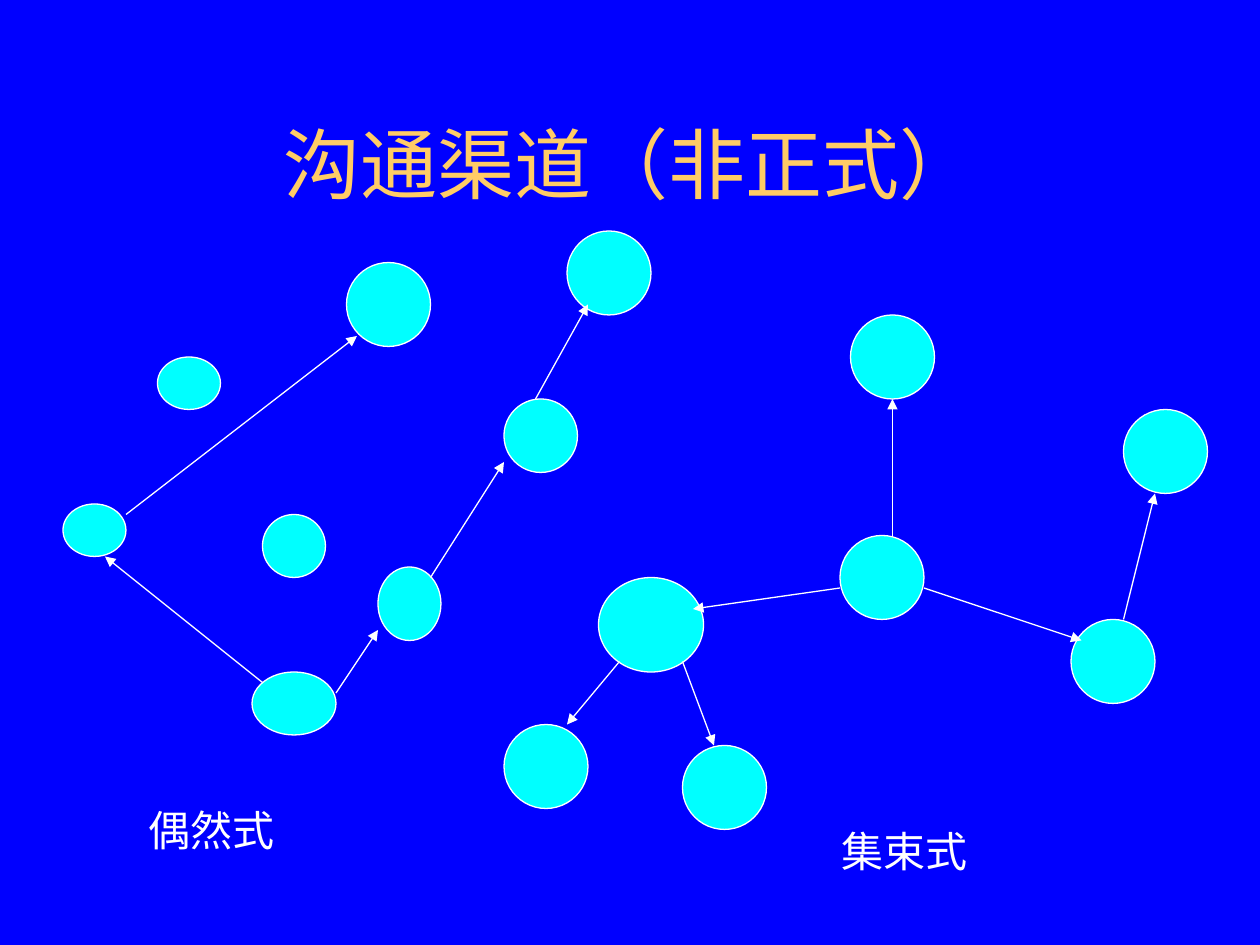
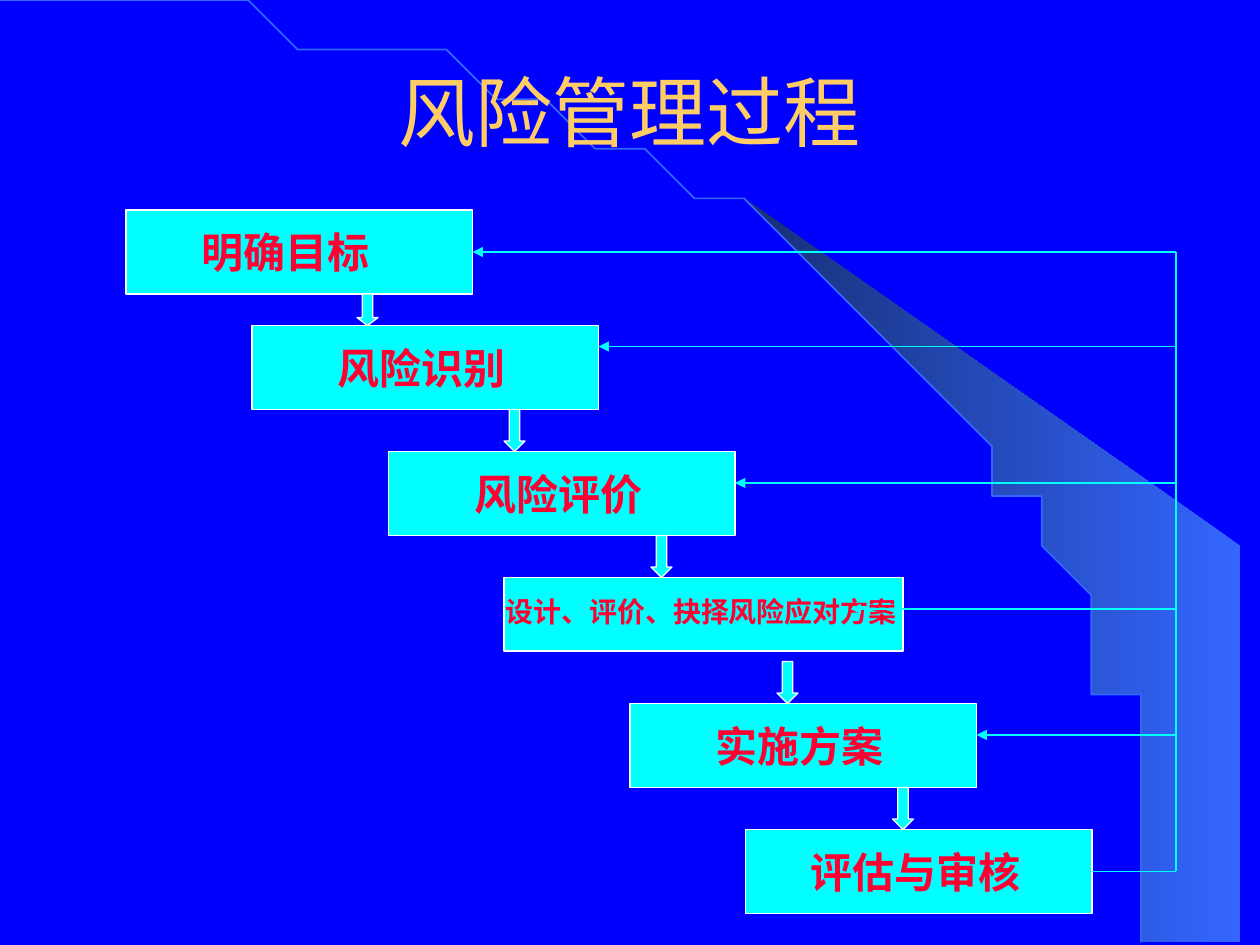
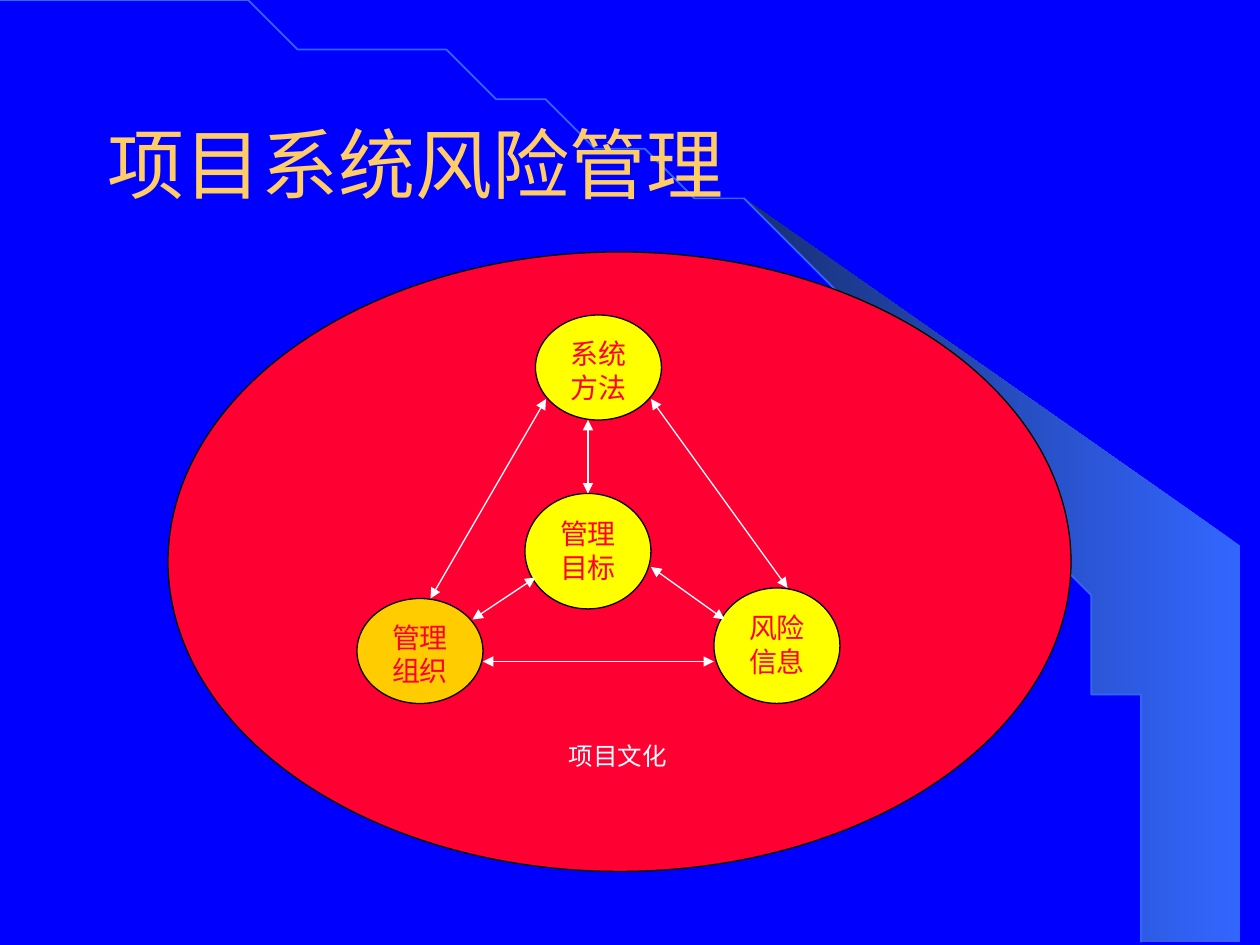
"""Build three slides on informal communication channels and project risk management."""
from math import cos, radians, sin

from lxml import etree
from pptx import Presentation
from pptx.dml.color import RGBColor
from pptx.enum.shapes import MSO_CONNECTOR, MSO_SHAPE
from pptx.enum.text import MSO_ANCHOR, PP_ALIGN
from pptx.oxml.ns import qn
from pptx.util import Cm, Pt

OVAL, RECTANGLE = MSO_SHAPE.OVAL, MSO_SHAPE.RECTANGLE
DOWN_ARROW, DISC = MSO_SHAPE.DOWN_ARROW, MSO_SHAPE.FLOWCHART_CONNECTOR
STRAIGHT = MSO_CONNECTOR.STRAIGHT
LEFT, CENTER = PP_ALIGN.LEFT, PP_ALIGN.CENTER
TOP, MIDDLE = MSO_ANCHOR.TOP, MSO_ANCHOR.MIDDLE

GRID = Cm(2.54) // 12
BLUE, SKY, NAVY, CYAN = "0000FF", "3366FF", "172F75", "00FFFF"
GOLD, YELLOW, AMBER, RED = "FFCC66", "FFFF00", "FFCC00", "FF0033"
WHITE, BLACK = "FFFFFF", "000000"
TITLE_FONT, BODY_FONT = "Arial", "Times New Roman"
colour = RGBColor.from_string


def add_figure(page, kind, place, fill, outline=WHITE):
    """Add a filled preset shape, placed in grid units."""
    figure = page.shapes.add_shape(kind, *(GRID * n for n in place))
    figure.shadow.inherit = False
    figure.fill.solid()
    figure.fill.fore_color.rgb = colour(fill)
    figure.line.color.rgb = colour(outline)
    figure.line.width = Pt(0.75)
    return figure


def add_link(page, ends, tint=WHITE, arrows=("tailEnd",)):
    """Add a straight connector between two grid points."""
    link = page.shapes.add_connector(STRAIGHT, *(GRID * n for n in ends))
    link.line.color.rgb = colour(tint)
    link.line.width = Pt(0.75)
    properties = link.element.spPr
    for arrow in arrows:
        etree.SubElement(properties.find(qn("a:ln")), qn("a:" + arrow), type="triangle")
    etree.SubElement(properties, qn("a:effectLst"))
    return link


deck = Presentation()
deck.slide_width, deck.slide_height = Cm(25.4), Cm(19.05)
background = deck.slide_master.background.fill
background.solid()
background.fore_color.rgb = colour(BLUE)

arc = [(23.37 * sin(radians(a)), 19.02 * (1 - cos(radians(a)))) for a in range(0, 91, 2)]
wedge = arc[20:] + [(25.37, 19.02), (25.37, 10.74)]

texts = []
pages = []
for heading, place, alignment, has_band in [
    ("沟通渠道（非正式）", (9, 8, 102, 15), CENTER, False),
    ("风险管理过程", (9, 4, 102, 13), CENTER, True),
    ("项目系统风险管理", (9, 8, 102, 15), LEFT, True),
]:
    page = deck.slides.add_slide(deck.slide_layouts[5])
    pages.append(page)
    title = page.shapes.title
    title.left, title.top, title.width, title.height = (GRID * n for n in place)
    title.text_frame.vertical_anchor = MIDDLE
    texts.append((title, heading, TITLE_FONT, 44, GOLD, False, alignment))
    if has_band:
        for outline, closed in [(wedge, True), (arc, False)]:
            builder = page.shapes.build_freeform(*outline[0], scale=Cm(1))
            builder.add_line_segments(outline[1:], close=closed)
            band = builder.convert_to_shape()
            band.shadow.inherit = False
            if closed:
                band.fill.gradient()
                band.fill.gradient_angle = 180
                for stop, tint in zip(band.fill.gradient_stops, (SKY, NAVY)):
                    stop.color.rgb = colour(tint)
                band.line.fill.background()
            else:
                band.fill.background()
                band.line.color.rgb = colour(SKY)
                band.line.width = Pt(1)
            title.element.addprevious(band.element)

channels, process, system = pages

for place in [
    (6, 48, 6, 5), (15, 34, 6, 5), (25, 49, 6, 6), (24, 64, 8, 6), (36, 54, 6, 7),
    (48, 38, 7, 7), (57, 55, 10, 9), (81, 30, 8, 8), (107, 39, 8, 8), (80, 51, 8, 8),
    (48, 69, 8, 8), (65, 71, 8, 8), (54, 22, 8, 8), (33, 25, 8, 8), (102, 59, 8, 8),
]:
    add_figure(channels, OVAL, place, CYAN)
for ends in [
    (41, 55, 48, 44), (51, 38, 56, 29), (32, 66, 36, 60), (25, 65, 10, 53),
    (12, 49, 34, 32), (80, 56, 66, 58), (88, 56, 103, 61), (85, 51, 85, 38),
    (107, 59, 110, 47), (59, 63, 54, 69), (65, 63, 68, 71),
]:
    add_link(channels, ends)

steps = []
for step, left, top, width, height, text_left, size in [
    ("明确目标", 12, 20, 33, 8, 18, 24),
    ("风险识别", 24, 31, 33, 8, 31, 24),
    ("风险评价", 37, 43, 33, 8, 44, 24),
    ("设计、评价、抉择风险应对方案", 48, 55, 38, 7, 47, 16),
    ("实施方案", 60, 67, 33, 8, 67, 24),
    ("评估与审核", 71, 79, 33, 8, 76, 24),
]:
    steps.append(add_figure(process, RECTANGLE, (left, top, width, height), CYAN))
    text_width = int(GRID * (len(step) * size / 6 + 2.4))
    box = process.shapes.add_textbox(GRID * text_left, GRID * (top + 1), text_width, GRID * size // 4)
    box.text_frame.word_wrap = False
    texts.append((box, step, BODY_FONT, size, RED, True, LEFT))
for left, top, height in [(34, 28, 3), (48, 39, 4), (62, 51, 4), (74, 63, 4), (85, 75, 4)]:
    arrow = add_figure(process, DOWN_ARROW, (left, top, 2, height), CYAN)
    arrow.adjustments[1] = height / 8
rail = 112
exit_line = add_link(process, (104, 83, rail, 83), CYAN, ())
exit_line.begin_connect(steps[-1], 3)
add_link(process, (rail, 83, rail, 24), CYAN, ())
returns = [
    add_link(process, (rail, top, left, top), CYAN)
    for left, top in [(45, 24), (57, 33), (70, 46), (81, 58), (93, 70)]
]
returns[0].end_connect(steps[0], 3)

add_figure(system, DISC, (16, 24, 86, 59), RED, BLACK)
for topic, place, fill in [
    ("管理目标", (50, 47, 12, 11), YELLOW),
    ("系统方法", (51, 30, 12, 10), YELLOW),
    ("管理组织", (34, 57, 12, 10), AMBER),
    ("风险信息", (68, 56, 12, 11), YELLOW),
]:
    node = add_figure(system, OVAL, place, fill, BLACK)
    node.text_frame.vertical_anchor = TOP
    texts.append((node, topic, BODY_FONT, 16, RED, False, CENTER))
for ends in [
    (52, 38, 41, 57), (62, 38, 75, 56), (46, 63, 68, 63),
    (56, 40, 56, 47), (51, 55, 45, 59), (62, 54, 69, 59),
]:
    add_link(system, ends, arrows=("headEnd", "tailEnd"))

for page, caption, place, size in [
    (channels, "偶然式", (13, 76, 31, 6), 24),
    (channels, "集束式", (79, 78, 27, 6), 24),
    (system, "项目文化", (53, 70, 15, 4), 14),
]:
    box = page.shapes.add_textbox(*(GRID * n for n in place))
    box.text_frame.word_wrap = True
    texts.append((box, caption, BODY_FONT, size, WHITE, False, LEFT))

for box, wording, font_name, size, tint, bold, alignment in texts:
    box.text_frame.text = wording
    para = box.text_frame.paragraphs[0]
    para.alignment = alignment
    span = para.runs[0]
    span.font.name = font_name
    span.font.size = Pt(size)
    span.font.bold = bold
    span.font.color.rgb = colour(tint)

deck.save("out.pptx")
